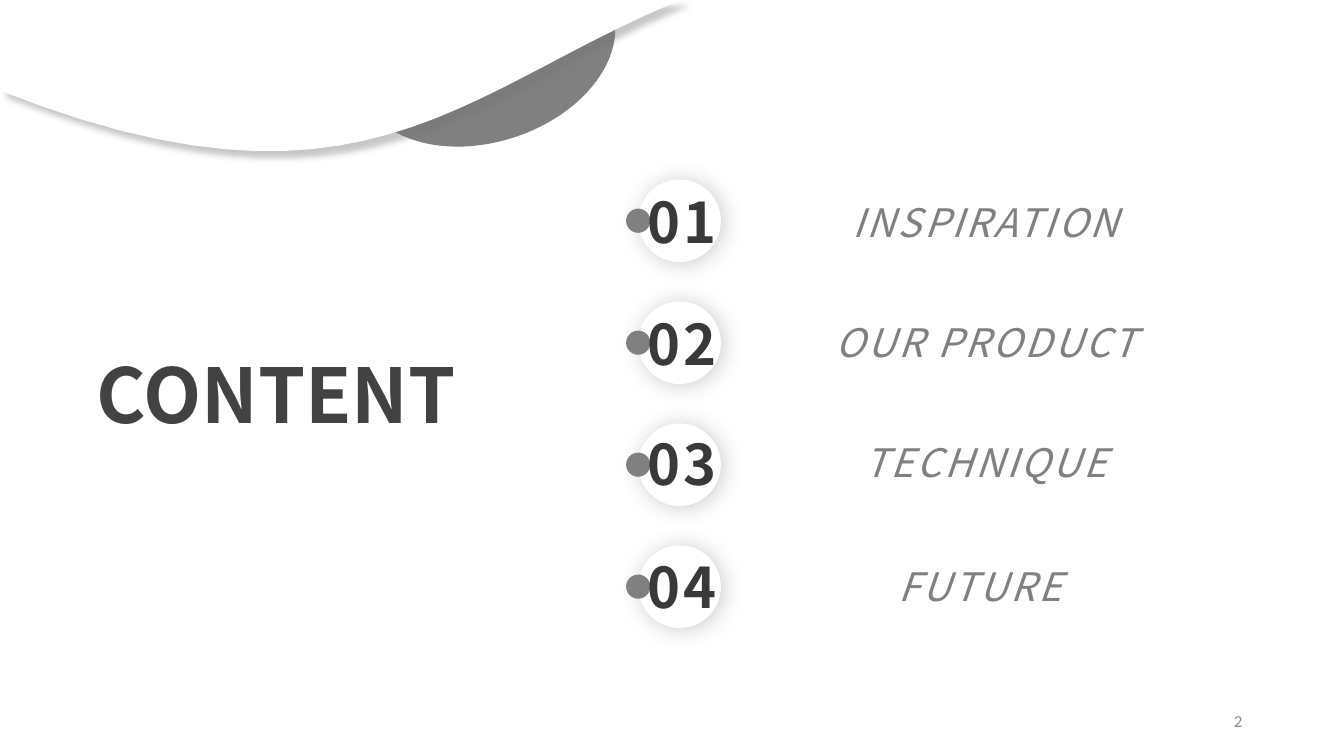
"""Build a contents slide with four numbered entries and a wave header."""
import pptx
import pptx.util
import pptx.dml.color
import pptx.enum.shapes
import pptx.enum.text
import pptx.oxml
import pptx.oxml.ns

TITLE = "CONTENT"
PAGE = "2"
ITEMS = [
    ("01", 186, "INSPIRATION", 197),
    ("02", 307, "OUR PRODUCT", 316),
    ("03", 426, "TECHNIQUE", 435),
    ("04", 548, "FUTURE ", 558),
]
LEAF = [
    (389, 0), (604, 0), (607, 8),
    ((623, 56), (580, 113), (511, 136)),
    ((442, 159), (373, 139), (357, 91)),
    ((347, 61), (360, 27), (388, 1)),
]
WAVE = [
    (0, 0), (676, 0), (661, 6),
    ((454, 95), (352, 229), (0, 90)),
]
THEME = {
    "font": "Noto Sans CJK SC", "small": "Calibri",
    "white": "FFFFFF", "gray": "808080", "title": "424242",
    "num": "3B3838", "page": "8C8C8C", "edge": "767171",
    "big": 54, "mid": 40, "item": 28, "tiny": 12,
}
PX = 9144
TOP, STEP = 178, 121
RING, DOT = 82, 24
LEFT = 633
CURVE = 24

Align = pptx.enum.text.PP_ALIGN
Anchor = pptx.enum.text.MSO_ANCHOR
Fit = pptx.enum.text.MSO_AUTO_SIZE


def rgb(name):
    return pptx.dml.color.RGBColor.from_string(THEME[name])


def paint(shape, fill, shade=None):
    shape.fill.solid()
    shape.fill.fore_color.rgb = rgb(fill)
    shape.line.fill.background()
    shape.shadow.inherit = False
    if shade:
        color, alpha, blur, dist, angle = shade
        glow = pptx.oxml.parse_xml(
            f'<a:outerShdw {pptx.oxml.ns.nsdecls("a")} blurRad="{blur * 12700}" '
            f'dist="{dist * 12700}" dir="{angle * 60000}" algn="tl" rotWithShape="0">'
            f'<a:srgbClr val="{THEME[color]}"><a:alpha val="{alpha * 1000}"/>'
            '</a:srgbClr></a:outerShdw>')
        shape.element.spPr.find(pptx.oxml.ns.qn("a:effectLst")).append(glow)


def write(parent, text, box, size, color, font="font", align=Align.LEFT,
          anchor=Anchor.MIDDLE, wrap=True, grow=True, inset=True,
          bold=False, italic=False, space=0):
    frame = parent.add_textbox(*(n * PX for n in box)).text_frame
    frame.word_wrap = wrap
    frame.auto_size = Fit.SHAPE_TO_FIT_TEXT if grow else Fit.NONE
    frame.vertical_anchor = anchor
    if not inset:
        frame.margin_left = frame.margin_right = 0
        frame.margin_top = frame.margin_bottom = 0
    line = frame.paragraphs[0]
    line.alignment = align
    run = line.add_run()
    run.text = text
    run.font.name = THEME[font]
    run.font.size = pptx.util.Pt(THEME[size])
    run.font.color.rgb = rgb(color)
    run.font.bold, run.font.italic = bold, italic
    props = run.font._element
    if space:
        props.set("spc", str(space * 100))
    east = pptx.oxml.parse_xml(
        f'<a:ea {pptx.oxml.ns.nsdecls("a")} typeface="{THEME[font]}"/>')
    props.find(pptx.oxml.ns.qn("a:latin")).addnext(east)


def trace(parts):
    points = []
    for part in parts:
        if len(part) == 2:
            points.append(part)
            continue
        ends = (points[-1], *part)
        for step in range(1, CURVE + 1):
            t = step / CURVE
            mix = ((1 - t) ** 3, 3 * t * (1 - t) ** 2, 3 * t * t * (1 - t), t ** 3)
            points.append(tuple(sum(m * p[axis] for m, p in zip(mix, ends))
                                for axis in (0, 1)))
    return points


def outline(parent, parts, fill, shade=None):
    first, *rest = [(round(x * PX), round(y * PX)) for x, y in trace(parts)]
    pen = parent.build_freeform(*first, scale=1.0)
    pen.add_line_segments(rest, close=True)
    paint(pen.convert_to_shape(), fill, shade)


def circle(parent, left, top, size, fill, shade=None):
    kind = pptx.enum.shapes.MSO_SHAPE.OVAL
    shape = parent.add_shape(kind, left * PX, top * PX, size * PX, size * PX)
    paint(shape, fill, shade)


def main():
    deck = pptx.Presentation()
    deck.slide_width, deck.slide_height = 1333 * PX, 750 * PX
    shapes = deck.slides.add_slide(deck.slide_layouts[6]).shapes

    outline(shapes, LEAF, "gray")
    write(shapes, PAGE, (942, 695, 300, 40), "tiny", "page", font="small",
          align=Align.RIGHT, grow=False)
    write(shapes, TITLE, (86, 340, 399, 101), "big", "title",
          anchor=Anchor.TOP, wrap=False, bold=True)
    outline(shapes, WAVE, "white", ("edge", 40, 4, 6, 45))

    for row, (num, high, label, low) in enumerate(ITEMS):
        top = TOP + row * STEP
        badge = shapes.add_group_shape().shapes
        circle(badge, LEFT, top, RING, "white", ("gray", 40, 16, 2, 30))
        circle(badge, LEFT - DOT // 2, top + (RING - DOT) // 2, DOT, "gray")
        write(badge, num, (619, high, 115, 67), "mid", "num",
              align=Align.CENTER, inset=False, bold=True, space=2)
        write(shapes, label, (663, low, 629, 47), "item", "gray",
              align=Align.CENTER, inset=False, italic=True, space=2)

    deck.save("out.pptx")


if __name__ == "__main__":
    main()
